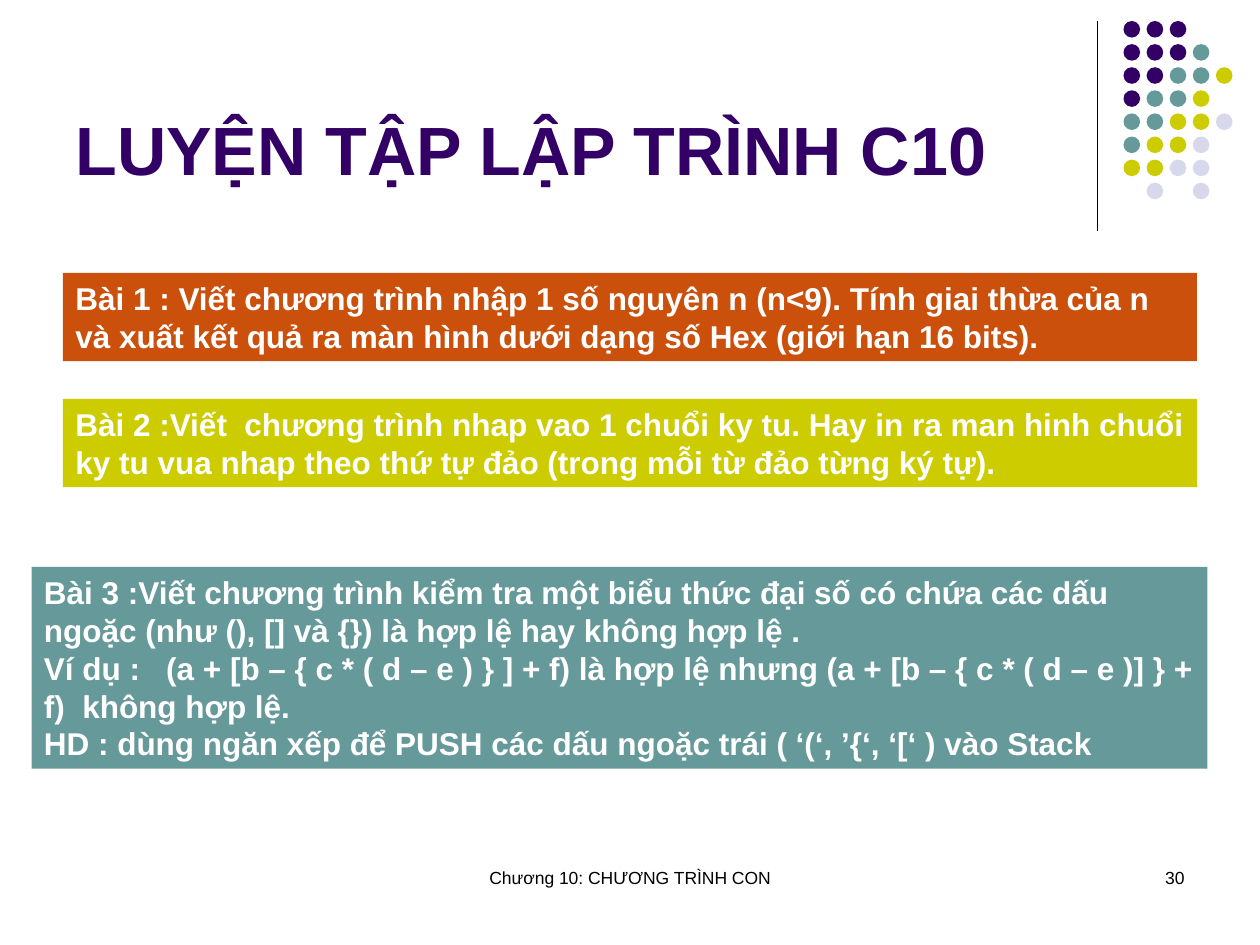
from lxml import etree
from pptx import Presentation
from pptx.dml.color import RGBColor
from pptx.enum.shapes import MSO_CONNECTOR, MSO_SHAPE
from pptx.enum.text import MSO_ANCHOR, MSO_AUTO_SIZE, PP_ALIGN
from pptx.oxml.ns import qn
from pptx.util import Pt

LEFT, CENTER, RIGHT = PP_ALIGN.LEFT, PP_ALIGN.CENTER, PP_ALIGN.RIGHT
TOP, BOTTOM = MSO_ANCHOR.TOP, MSO_ANCHOR.BOTTOM
FIT_SHAPE, FIT_NONE = MSO_AUTO_SIZE.SHAPE_TO_FIT_TEXT, MSO_AUTO_SIZE.NONE
RECTANGLE, OVAL = MSO_SHAPE.RECTANGLE, MSO_SHAPE.OVAL
STRAIGHT = MSO_CONNECTOR.STRAIGHT

FONT = "Arial"
BLACK = RGBColor(0x00, 0x00, 0x00)
WHITE = RGBColor(0xFF, 0xFF, 0xFF)
PURPLE = RGBColor(0x33, 0x00, 0x66)
TEAL = RGBColor(0x66, 0x99, 0x99)
YELLOW = RGBColor(0xCC, 0xCC, 0x00)
LAVENDER = RGBColor(0xD8, 0xD8, 0xEC)
ORANGE = RGBColor(0xCB, 0x50, 0x0B)

# One letter per dot, a space where the grid is empty
DOT_COLORS = {"P": PURPLE, "T": TEAL, "Y": YELLOW, "L": LAVENDER}
DOT_ROWS = ["PPP", "PPPT", "PPTTY", "PTTY", "TTYYL", "TYYL", "YYLL", " L L"]
DOT_SIZE = 9.5
DOT_PITCH = 13.2

# Exercise: box (left, top, width, height), fill, paragraphs
EXERCISES = [
    ((36, 156, 648, 50.4), ORANGE, [
        "Bài 1 : Viết chương trình nhập 1 số nguyên n (n<9). Tính giai thừa của n "
        "và xuất kết quả ra màn hình dưới dạng số Hex (giới hạn 16 bits).",
    ]),
    ((36, 228, 648, 50.4), YELLOW, [
        "Bài 2 :Viết  chương trình nhap vao 1 chuổi ky tu. Hay in ra man hinh chuổi "
        "ky tu vua nhap theo thứ tự đảo (trong mỗi từ đảo từng ký tự).",
    ]),
    ((18, 324, 672, 115.2), TEAL, [
        "Bài 3 :Viết chương trình kiểm tra một biểu thức đại số có chứa các dấu "
        "ngoặc (như (), [] và {}) là hợp lệ hay không hợp lệ .",
        "Ví dụ :   (a + [b – { c * ( d – e ) } ] + f) là hợp lệ nhưng "
        "(a + [b – { c * ( d – e )] } + f)  không hợp lệ.",
        "HD : dùng ngăn xếp để PUSH các dấu ngoặc trái ( ‘(‘, ’{‘, ‘[‘ ) vào Stack",
    ]),
]


def write_text(shape, paragraphs, size, color, bold=False, align=LEFT,
               anchor=TOP, fit=FIT_NONE):
    frame = shape.text_frame
    frame.word_wrap = True
    frame.auto_size = fit
    frame.vertical_anchor = anchor
    for index, text in enumerate(paragraphs):
        paragraph = frame.add_paragraph() if index else frame.paragraphs[0]
        paragraph.alignment = align
        run = paragraph.add_run()
        run.text = text
        run.font.name = FONT
        run.font.size = Pt(size)
        run.font.bold = bold
        run.font.color.rgb = color


def add_filled_shape(shapes, kind, box, fill):
    shape = shapes.add_shape(kind, *map(Pt, box))
    shape.shadow.inherit = False
    shape.fill.solid()
    shape.fill.fore_color.rgb = fill
    shape.line.fill.background()
    return shape


def add_text_box(slide, box, text, **text_format):
    text_box = slide.shapes.add_textbox(*map(Pt, box))
    write_text(text_box, [text], **text_format)


def add_corner_rule(slide, box):
    left, top, width, height = box
    rule = slide.shapes.add_connector(
        STRAIGHT, Pt(left), Pt(top), Pt(left + width), Pt(top + height))
    rule.line.color.rgb = BLACK
    rule.line.width = Pt(0.75)
    etree.SubElement(rule._element.spPr, qn("a:effectLst"))


def add_dot_grid(slide, left, top):
    group = slide.shapes.add_group_shape()
    for row, letters in enumerate(DOT_ROWS):
        for column, letter in enumerate(letters):
            if letter in DOT_COLORS:
                box = (left + column * DOT_PITCH, top + row * DOT_PITCH,
                       DOT_SIZE, DOT_SIZE)
                add_filled_shape(group.shapes, OVAL, box, DOT_COLORS[letter])


def add_exercise(slide, box, fill, paragraphs):
    shape = add_filled_shape(slide.shapes, RECTANGLE, box, fill)
    write_text(shape, paragraphs, size=18, color=WHITE, bold=True, fit=FIT_SHAPE)


def main():
    presentation = Presentation()
    presentation.slide_width = Pt(720)
    presentation.slide_height = Pt(540)
    slide = presentation.slides.add_slide(presentation.slide_layouts[6])

    # Corner decoration
    add_corner_rule(slide, (627, 12, 0, 120))
    add_dot_grid(slide, 642, 12)

    # Footer and slide number
    add_text_box(slide, (246, 492, 228, 36), "Chương 10: CHƯƠNG TRÌNH CON",
                 size=10, color=BLACK, align=CENTER)
    add_text_box(slide, (516, 492, 168, 36), "30",
                 size=10, color=BLACK, align=RIGHT)

    # Title
    add_text_box(slide, (36, 9.5, 594, 102), "LUYỆN TẬP LẬP TRÌNH C10",
                 size=39, color=PURPLE, bold=True, anchor=BOTTOM)

    # Exercises
    for box, fill, paragraphs in EXERCISES:
        add_exercise(slide, box, fill, paragraphs)

    presentation.save("out.pptx")


if __name__ == "__main__":
    main()
